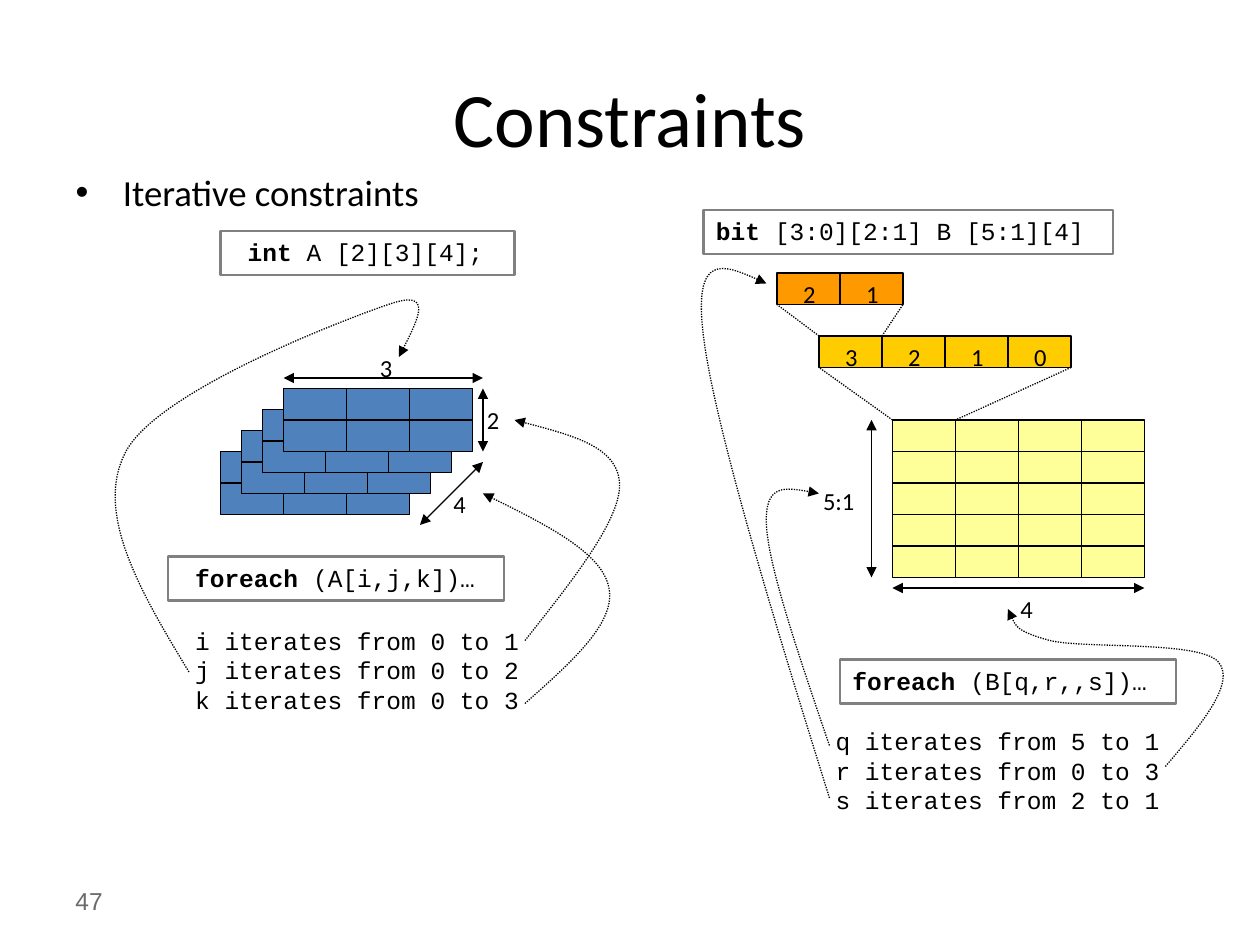
from dataclasses import dataclass

import lxml.etree
import pptx
import pptx.dml.color
import pptx.enum.dml
import pptx.enum.shapes
import pptx.enum.text
import pptx.oxml.ns
import pptx.util


@dataclass(frozen=True)
class Theme:
    ink: str = "000000"
    frame: str = "808080"
    muted: str = "6B6B6B"
    blue: str = "4F81BD"
    pale: str = "FFFF99"
    yellow: str = "FFCC00"
    orange: str = "FF9900"
    sans: str = "Calibri"
    mono: str = "Courier New"
    number: str = "Arial"
    title_size: int = 44
    body_size: int = 21
    text_size: int = 14
    thin: float = 0.75
    thick: float = 1.25


THEME = Theme()
PX = 7620  # 120 px to the inch
CELL_WIDTH, CELL_HEIGHT = 60, 30
RECTANGLE = pptx.enum.shapes.MSO_SHAPE.RECTANGLE
STRAIGHT = pptx.enum.shapes.MSO_CONNECTOR.STRAIGHT
ANCHOR = pptx.enum.text.MSO_ANCHOR
ALIGN = pptx.enum.text.PP_ALIGN
qn = pptx.oxml.ns.qn


def write(box, text, bold="", face=THEME.sans, size=THEME.text_size, color=THEME.ink,
          align=ALIGN.LEFT, anchor=ANCHOR.TOP):
    """Fill a box, one paragraph a line; bold is a heavy lead-in to the first."""
    frame = box.text_frame
    frame.word_wrap = True
    frame.auto_size = pptx.enum.text.MSO_AUTO_SIZE.NONE
    frame.vertical_anchor = anchor
    for index, line in enumerate(text.split("\n")):
        para = frame.add_paragraph() if index else frame.paragraphs[0]
        para.alignment = align
        pieces = [(bold, True)] if bold and index == 0 else []
        for piece, heavy in pieces + [(line, False)]:
            span = para.add_run()
            span.text = piece
            span.font.name = face
            span.font.size = pptx.util.Pt(size)
            span.font.bold = heavy
            span.font.color.rgb = pptx.dml.color.RGBColor.from_string(color)


def outline(shape, color=THEME.ink, width=THEME.thin, dotted=False, arrows=()):
    """Style the line, add arrowheads (headEnd, tailEnd) and remove the shadow."""
    shape.line.color.rgb = pptx.dml.color.RGBColor.from_string(color)
    shape.line.width = pptx.util.Pt(width)
    if dotted:
        shape.line.dash_style = pptx.enum.dml.MSO_LINE.ROUND_DOT
    properties = shape.line._get_or_add_ln()
    for arrow in arrows:
        lxml.etree.SubElement(properties, qn(f"a:{arrow}"), type="triangle")
    lxml.etree.SubElement(properties.getparent(), qn("a:effectLst"))


deck = pptx.Presentation()
deck.slide_width, deck.slide_height = 1200 * PX, 900 * PX
page = deck.slides.add_slide(deck.slide_layouts[1])

# Title, list and page number
title, body = page.placeholders
title.left, title.top, title.width, title.height = (n * PX for n in (60, 36, 1080, 150))
write(title, "Constraints", size=THEME.title_size, align=ALIGN.CENTER, anchor=ANCHOR.MIDDLE)
body.left, body.top, body.width, body.height = (n * PX for n in (60, 160, 1080, 150))
write(body, "Iterative constraints", size=THEME.body_size)
bullet = body.text_frame.paragraphs[0]
bullet.line_spacing = 0.9
indent = bullet._p.get_or_add_pPr()
indent.set("marL", str(45 * PX))
indent.set("indent", str(-45 * PX))
page_number = page.shapes.add_textbox(60 * PX, 834 * PX, 280 * PX, 48 * PX)
write(page_number, "47", face=THEME.number, color=THEME.muted, anchor=ANCHOR.MIDDLE)

# Array grids: group, left, top, columns, rows, fill, labels of the cells
array_a = page.shapes.add_group_shape()
array_b = page.shapes.add_group_shape()
grids = [(array_a, 210 + 20 * layer, 430 - 20 * layer, 3, 2, THEME.blue, "")
         for layer in range(4)]
grids += [
    (array_b, 850, 400, 4, 5, THEME.pale, ""),
    (array_b, 780, 320, 4, 1, THEME.yellow, "3210"),
    (array_b, 740, 260, 2, 1, THEME.orange, "21"),
]
labels = [
    (array_a, "2", 452, 380, 37),
    (array_a, "3", 350, 330, 37),
    (array_a, "4", 420, 460, 37),
    (page, "5:1", 772, 457, 56),
    (page, "4", 960, 560, 37),
]
for group, left, top, columns, rows, fill, digits in grids:
    for row in range(rows):
        for column in range(columns):
            cell = group.shapes.add_shape(
                RECTANGLE, (left + column * CELL_WIDTH) * PX, (top + row * CELL_HEIGHT) * PX,
                CELL_WIDTH * PX, CELL_HEIGHT * PX)
            cell.fill.solid()
            cell.fill.fore_color.rgb = pptx.dml.color.RGBColor.from_string(fill)
            outline(cell)
    labels += [(group, digit, left + 13 + column * CELL_WIDTH, top, 37)
               for column, digit in enumerate(digits)]

for owner, text, left, top, width in labels:
    write(owner.shapes.add_textbox(left * PX, top * PX, width * PX, 40 * PX), text)

# Dimension arrows, and dotted lines that link one dimension to the next
dimensions = [
    (array_a, 270, 360, 460, 360),
    (array_a, 460, 370, 460, 430),
    (array_a, 460, 440, 400, 500),
    (page, 830, 400, 830, 550),
    (page, 850, 560, 1090, 560),
]
links = [
    (array_b, 850, 400, 780, 350),
    (array_b, 1020, 350, 910, 400),
    (array_b, 780, 320, 740, 290),
    (array_b, 840, 320, 860, 290),
]
for owner, *ends in dimensions + links:
    line = owner.shapes.add_connector(STRAIGHT, *(n * PX for n in ends))
    dotted = (owner, *ends) in links
    outline(line, dotted=dotted, arrows=() if dotted else ("headEnd", "tailEnd"))

# Code
code_boxes = [
    ("bit ", "[3:0][2:1] B [5:1][4]", 670, 200, 390),
    (" int ", "A [2][3][4];", 210, 220, 280),
    (" foreach ", "(A[i,j,k])…", 160, 530, 320),
    ("foreach", " (B[q,r,,s])…", 800, 628, 320),
]
for keyword, code, left, top, width in code_boxes:
    box = page.shapes.add_shape(RECTANGLE, left * PX, top * PX, width * PX, 42 * PX)
    box.fill.background()
    outline(box, THEME.frame, THEME.thick)
    write(box, code, bold=keyword, face=THEME.mono)

# Index ranges
ranges = [
    (160, 590, (("i", 0, 1), ("j", 0, 2), ("k", 0, 3))),
    (770, 686, (("q", 5, 1), ("r", 0, 3), ("s", 2, 1))),
]
for left, top, indices in ranges:
    box = page.shapes.add_textbox(left * PX, top * PX, 390 * PX, 124 * PX)
    text = "\n".join(f" {name} iterates from {first} to {last}" for name, first, last in indices)
    write(box, text, face=THEME.mono)

# Curves from index to dimension: a start, then two controls and an end per arc
curves = [
    [(500, 610), (546, 552), (592, 494), (590, 460), (588, 425), (539, 413), (490, 400)],
    [(180, 640), (134, 564), (89, 488), (120, 430), (151, 372), (326, 305), (370, 290),
     (413, 275), (397, 307), (380, 340)],
    [(500, 670), (544, 631), (587, 593), (580, 560), (574, 527), (517, 498), (460, 470)],
    [(790, 710), (761, 625), (732, 540), (730, 500), (728, 460), (754, 465), (780, 470)],
    [(1110, 730), (1144, 690), (1178, 650), (1160, 630), (1141, 610), (1033, 618),
     (1000, 610), (967, 601), (964, 590), (960, 580)],
    [(790, 760), (734, 581), (680, 402), (670, 320), (660, 239), (695, 254), (730, 270)],
]
for start, *points in curves:
    builder = page.shapes.build_freeform(*start, scale=PX)
    builder.add_line_segments(points, close=False)
    curve = builder.convert_to_shape()
    segments = list(curve._element.iter(qn("a:lnTo")))
    for first in range(0, len(segments), 3):
        outline_points = segments[first].getparent()
        arc = lxml.etree.SubElement(outline_points, qn("a:cubicBezTo"))
        for segment in segments[first:first + 3]:
            arc.append(segment[0])
            outline_points.remove(segment)
    curve.fill.background()
    outline(curve, dotted=True, arrows=("tailEnd",))

deck.save("out.pptx")
